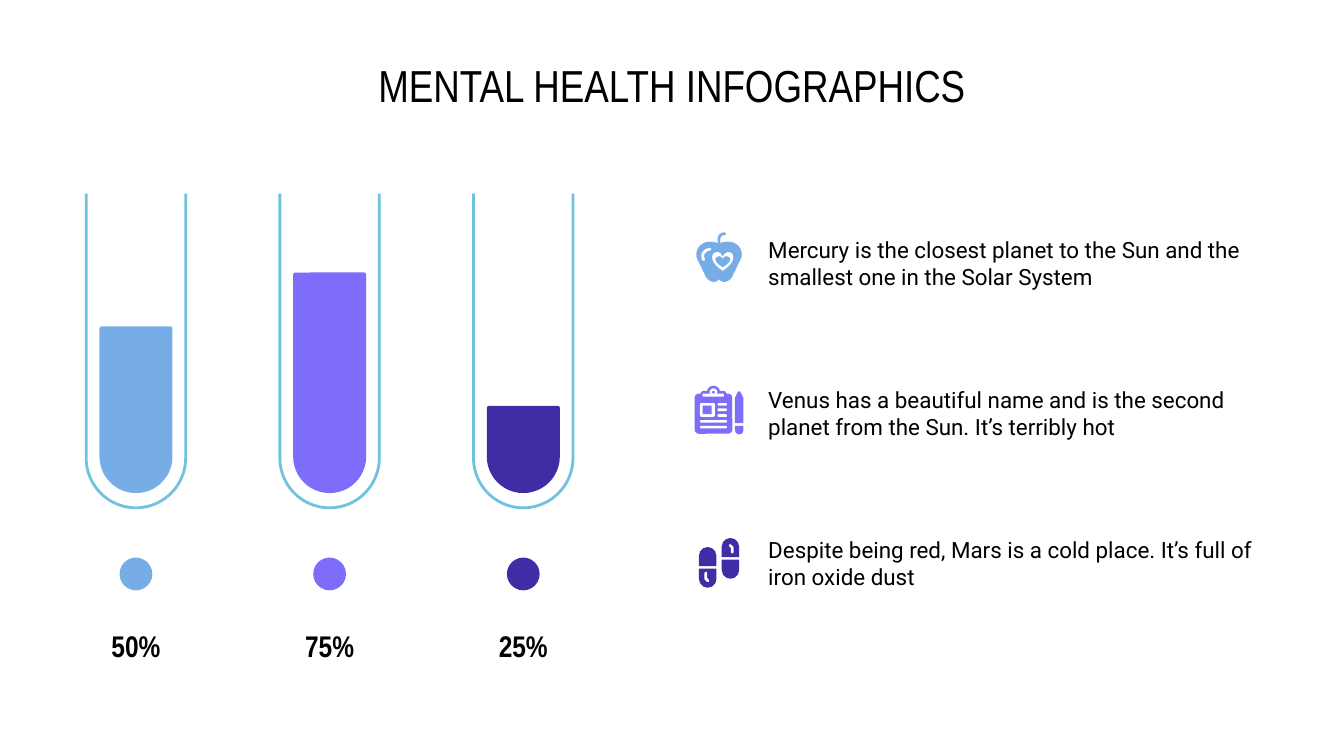
from math import cos, pi, sin
from pptx import Presentation
from pptx.dml.color import RGBColor
from pptx.enum.shapes import MSO_SHAPE
from pptx.enum.text import MSO_ANCHOR, MSO_AUTO_SIZE, PP_ALIGN
from pptx.oxml.ns import qn
from pptx.util import Cm, Pt

OVAL, RECT, ROUND = MSO_SHAPE.OVAL, MSO_SHAPE.RECTANGLE, MSO_SHAPE.ROUNDED_RECTANGLE
DOME, HEART = MSO_SHAPE.ROUND_2_SAME_RECTANGLE, MSO_SHAPE.HEART
LEFT, CENTER = PP_ALIGN.LEFT, PP_ALIGN.CENTER
MIDDLE, FIXED = MSO_ANCHOR.MIDDLE, MSO_AUTO_SIZE.NONE

BLACK, WHITE, GLASS = "000000", "FFFFFF", "70C2DF"
BLUE, VIOLET, INDIGO = "77ADE6", "7E6CFB", "3F2DA5"


def color(code):
    return RGBColor.from_string(code)


def bend(a, b, c, d, steps=10):
    points = []
    for i in range(steps + 1):
        t = i / steps
        u = 1 - t
        points.append(tuple(
            u**3 * p + 3 * u * u * t * q + 3 * u * t * t * r + t**3 * s
            for p, q, r, s in zip(a, b, c, d)))
    return points


class Deck:
    head, text = "Arial Narrow", "Roboto"
    inset = Cm(0.25)

    def __init__(self, slide):
        self.slide = slide
        self.shapes = slide.shapes

    def fill_text(self, box, words, font, size, align=LEFT, bold=False):
        frame = box.text_frame
        frame.text = words
        frame.word_wrap = True
        frame.auto_size = FIXED
        frame.vertical_anchor = MIDDLE
        frame.margin_left = frame.margin_right = self.inset
        frame.margin_top = frame.margin_bottom = self.inset
        para = frame.paragraphs[0]
        para.alignment = align
        para.font.name, para.font.size, para.font.bold = font, Pt(size), bold
        para.font.color.rgb = color(BLACK)

    def title(self, words, x, y, w, h):
        box = self.shapes.title
        box.left, box.top, box.width, box.height = Cm(x), Cm(y), Cm(w), Cm(h)
        self.fill_text(box, words, self.head, 24, CENTER)

    def label(self, words, x, y, w, h, *style):
        box = self.shapes.add_textbox(Cm(x), Cm(y), Cm(w), Cm(h))
        self.fill_text(box, words, *style)

    def shape(self, kind, code, x, y, w, h, adjust=(), turn=0):
        item = self.shapes.add_shape(kind, Cm(x), Cm(y), Cm(w), Cm(h))
        for i, value in enumerate(adjust):
            item.adjustments[i] = value
        item.rotation = turn
        self.paint(item, code)

    def paint(self, item, code):
        item.shadow.inherit = False
        item.fill.solid()
        item.fill.fore_color.rgb = color(code)
        item.line.fill.background()

    def outline(self, points, closed):
        spots = [(Cm(x), Cm(y)) for x, y in points]
        pen = self.shapes.build_freeform(*spots[0])
        pen.add_line_segments(spots[1:], close=closed)
        return pen.convert_to_shape()

    def area(self, points, code):
        self.paint(self.outline(points, True), code)

    def stroke(self, points, code, width=1.5, cap="rnd"):
        item = self.outline(points, False)
        item.shadow.inherit = False
        item.fill.background()
        item.line.color.rgb = color(code)
        item.line.width = Pt(width)
        item.element.spPr.find(qn("a:ln")).set("cap", cap)

    def tube(self, mid, code, level, share):
        radius, top, base = 0.94, 3.66, 8.66
        curve = [(mid + radius * cos(pi * i / 40), base + radius * sin(pi * i / 40))
                 for i in range(41)]
        self.stroke([(mid + radius, top), *curve, (mid - radius, top)], GLASS, cap="flat")
        self.shape(DOME, code, mid - 0.69, 9.32 - level, 1.38, level, (0.5, 0.03), 180)
        self.shape(OVAL, code, mid - 0.31, 10.54, 0.62, 0.62)
        self.label(share, mid - 1.45, 11.79, 2.9, 0.81, self.head, 16, CENTER, True)

    def apple(self, code):
        mid, top = 13.59, 4.57
        half = (bend((0, 0.05), (-0.05, 0), (-0.13, 0), (-0.18, 0))
                + bend((-0.18, 0), (-0.36, 0), (-0.48, 0.18), (-0.41, 0.33))
                + bend((-0.25, 0.66), (-0.23, 0.71), (-0.15, 0.76), (-0.1, 0.76))
                + bend((-0.1, 0.76), (-0.05, 0.76), (-0.03, 0.74), (0, 0.71)))
        side = [(mid + x, top + y) for x, y in half]
        self.area(side + [(2 * mid - x, y) for x, y in reversed(side)], code)
        self.stroke([(mid, 4.66)] + bend((mid, 4.52), (mid, 4.46), (13.63, 4.42), (13.7, 4.42)), code)
        self.stroke(bend((13.42, 4.71), (13.3, 4.73), (13.25, 4.82), (13.3, 4.91)), WHITE)
        self.shape(HEART, WHITE, 13.46, 4.76, 0.4, 0.36)
        self.shape(HEART, code, 13.52, 4.84, 0.28, 0.21)

    def board(self, code):
        self.shape(ROUND, code, 13.13, 7.44, 0.71, 0.76, (0.11,))
        self.shape(OVAL, code, 13.36, 7.29, 0.25, 0.25)
        self.shape(ROUND, code, 13.24, 7.39, 0.49, 0.2, (0.3,))
        self.shape(ROUND, WHITE, 13.28, 7.44, 0.4, 0.06, (0.3,))
        self.shape(OVAL, WHITE, 13.41, 7.34, 0.15, 0.15)
        self.shape(OVAL, code, 13.46, 7.39, 0.05, 0.05)
        self.shape(ROUND, WHITE, 13.23, 7.62, 0.28, 0.26, (0.1,))
        self.shape(RECT, code, 13.28, 7.67, 0.17, 0.16)
        for x, y, w in ((13.56, 7.62, 0.18), (13.56, 7.72, 0.18), (13.56, 7.83, 0.18),
                        (13.23, 7.94, 0.51), (13.23, 8.05, 0.51)):
            self.shape(ROUND, WHITE, x, y, w, 0.05, (0.5,))
        self.area([(13.89, 8), (13.89, 7.52), (13.94, 7.42), (13.97, 7.39),
                   (14, 7.42), (14.05, 7.52), (14.05, 8)], code)
        self.shape(DOME, code, 13.89, 8.05, 0.16, 0.16, (0.5, 0), 180)

    def pills(self, code):
        for x, y in ((13.21, 10.34), (13.64, 10.17)):
            self.shape(DOME, code, x, y, 0.33, 0.36, (0.5, 0))
            self.shape(DOME, code, x, y + 0.41, 0.33, 0.36, (0.5, 0), 180)
        self.stroke([(13.34, 10.83), (13.34, 10.94), (13.38, 10.98)], WHITE)
        self.stroke([(13.8, 10.31), (13.84, 10.35), (13.84, 10.44)], WHITE)


def main():
    show = Presentation()
    show.slide_width, show.slide_height = Cm(25.4), Cm(14.29)
    deck = Deck(show.slides.add_slide(show.slide_layouts[5]))
    deck.title("MENTAL HEALTH INFOGRAPHICS", 1.27, 1.14, 22.86, 0.91)
    rows = (
        (BLUE, 3.15, "50%", deck.apple,
         "Mercury is the closest planet to the Sun and the smallest one in the Solar System"),
        (VIOLET, 4.17, "75%", deck.board,
         "Venus has a beautiful name and is the second planet from the Sun. It’s terribly hot"),
        (INDIGO, 1.65, "25%", deck.pills,
         "Despite being red, Mars is a cold place. It’s full of iron oxide dust"),
    )
    for i, (code, level, share, icon, words) in enumerate(rows):
        deck.tube(2.57 + 3.66 * i, code, level, share)
        icon(code)
        deck.label(words, 14.27, 3.66 + 2.83 * i, 9.86, 2.64, deck.text, 12)
    show.save("out.pptx")


if __name__ == "__main__":
    main()
